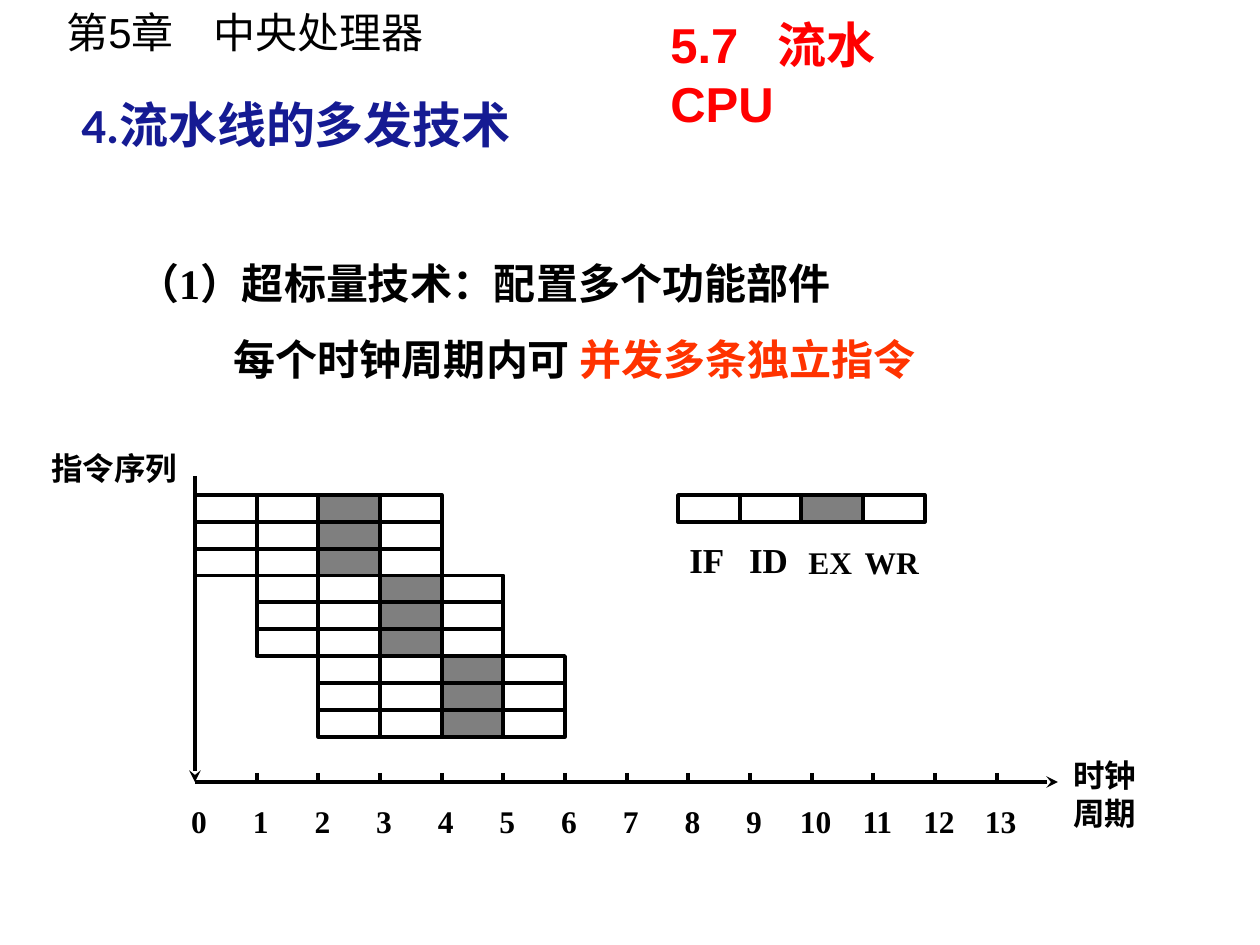
from lxml import etree
from pptx import Presentation
from pptx.dml.color import RGBColor
from pptx.enum.shapes import MSO_CONNECTOR, MSO_SHAPE
from pptx.enum.text import MSO_ANCHOR, PP_ALIGN
from pptx.oxml.ns import qn
from pptx.util import Pt

PX = 914400 / 126
BLACK = RGBColor(0x00, 0x00, 0x00)
NAVY = RGBColor(0x15, 0x1B, 0x93)
RED = RGBColor(0xFF, 0x00, 0x00)
ORANGE = RGBColor(0xFF, 0x33, 0x00)
SERIF = "Times New Roman"

HEADINGS = [
    ("第5章\t中央处理器", (54, 0, 507, 63), 24, "Arial", BLACK, False, 147),
    ("4.流水线的多发技术", (69, 88, 473, 72), 28, "Calibri", NAVY, True, None),
    ("5.7\t流水\vCPU", (658, 8, 325, 72), 28, "Arial", RED, True, 107),
]
POINTS = [
    [("（1）超标量技术：配置多个功能部件", BLACK)],
    [("每个时钟周期内可 ", BLACK), ("并发多条独立指令", ORANGE)],
]
AXIS_LABELS = [
    ("指令序列", (39, 443, 169, 50)),
    ("时钟\n周期", (1061, 750, 169, 88)),
]
STAGES = [("IF", 20), ("ID", 20), ("EX", 18), ("WR", 18)]
BUSY_STAGE = 2
GROUPS, ISSUE_WIDTH, CYCLES = 3, 3, 13
ORIGIN_X, AXIS_TOP, AXIS_Y, AXIS_END = 195, 476, 782, 1058
GRID_TOP, LEGEND_X = 495, 678
STEP, ROW = 61.67, 26.85


def emu(*lengths):
    return [round(length * PX) for length in lengths]


def style(font, size, name, color, bold):
    font.size, font.name, font.bold = Pt(size), name, bold
    font.color.rgb = color


def add_text(page, text, place, size, name=SERIF, color=BLACK, bold=True, tab=None):
    box = page.shapes.add_textbox(*emu(*place))
    frame = box.text_frame
    frame.word_wrap = True
    frame.text = text
    for para in frame.paragraphs:
        if tab:
            stops = etree.SubElement(para._p.get_or_add_pPr(), qn("a:tabLst"))
            etree.SubElement(stops, qn("a:tab"), pos=str(emu(tab)[0]), algn="l")
        for span in para.runs:
            style(span.font, size, name, color, bold)
    return frame


def add_centred_label(page, text, center, top, size):
    width = STEP + 10
    frame = add_text(page, text, (center - width / 2, top, width, 54), size)
    frame.margin_left = frame.margin_right = 0
    frame.paragraphs[0].alignment = PP_ALIGN.CENTER
    return frame


def add_points(page):
    box = page.shapes.add_textbox(*emu(137, 232, 886, 152))
    frame = box.text_frame
    frame.word_wrap, frame.vertical_anchor = True, MSO_ANCHOR.MIDDLE
    frame.margin_left = frame.margin_right = 0
    for index, spans in enumerate(POINTS):
        para = frame.add_paragraph() if index else frame.paragraphs[0]
        para.line_spacing = 1.5
        if index:
            para._p.get_or_add_pPr().set("marL", str(emu(97)[0]))
        for text, color in spans:
            span = para.add_run()
            span.text = text
            style(span.font, 24, SERIF, color, True)


def add_instruction(page, left, top):
    for stage in range(len(STAGES)):
        cell = page.shapes.add_shape(
            MSO_SHAPE.RECTANGLE, *emu(left + stage * STEP, top, STEP, ROW))
        cell.shadow.inherit = False
        cell.line.color.rgb, cell.line.width = BLACK, Pt(2.25)
        if stage == BUSY_STAGE:
            cell.fill.solid()
            cell.fill.fore_color.rgb = BLACK
            tint = cell._element.spPr.find(qn("a:solidFill"))[0]
            etree.SubElement(tint, qn("a:alpha"), val="50000")
        else:
            cell.fill.background()


def add_line(page, start, end, arrow=False):
    line = page.shapes.add_connector(MSO_CONNECTOR.STRAIGHT, *emu(*start, *end))
    line.line.color.rgb, line.line.width = BLACK, Pt(2.25)
    if arrow:
        etree.SubElement(line.line._get_or_add_ln(), qn("a:tailEnd"), type="stealth")
    etree.SubElement(line._element.spPr, qn("a:effectLst"))


def main():
    """Build the superscalar pipeline slide."""
    deck = Presentation()
    deck.slide_width, deck.slide_height = emu(1260, 945)
    page = deck.slides.add_slide(deck.slide_layouts[6])

    for heading in HEADINGS:
        add_text(page, *heading)
    add_points(page)

    for row in range(GROUPS * ISSUE_WIDTH):
        shift = row // ISSUE_WIDTH * STEP
        add_instruction(page, ORIGIN_X + shift, GRID_TOP + row * ROW)

    add_instruction(page, LEGEND_X, GRID_TOP)
    for index, (name, size) in enumerate(STAGES):
        center = LEGEND_X + (index + 0.5) * STEP - 2
        frame = add_centred_label(page, name, center, 533, size)
        frame.vertical_anchor = MSO_ANCHOR.BOTTOM

    add_line(page, (ORIGIN_X, AXIS_TOP), (ORIGIN_X, AXIS_Y), arrow=True)
    add_line(page, (ORIGIN_X, AXIS_Y), (AXIS_END, AXIS_Y), arrow=True)
    for cycle in range(CYCLES + 1):
        tick = ORIGIN_X + cycle * STEP
        if cycle:
            add_line(page, (tick, 773), (tick, AXIS_Y))
        add_centred_label(page, str(cycle), tick + 4, 796, 18)
    for text, place in AXIS_LABELS:
        add_text(page, text, place, 18)

    deck.save("out.pptx")


if __name__ == "__main__":
    main()
